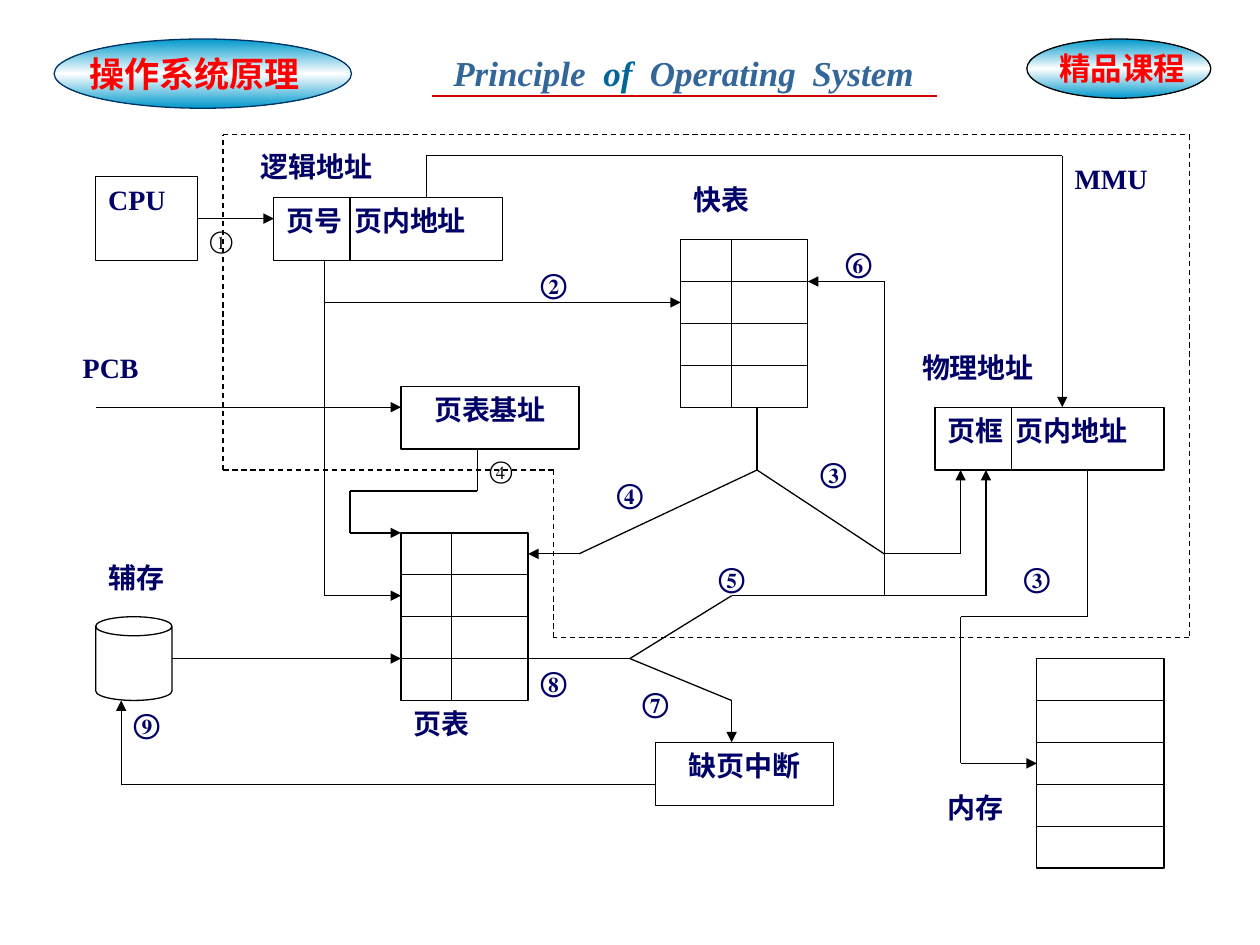
from itertools import pairwise

from lxml import etree
from copy import deepcopy
from pptx import Presentation
from pptx.dml.color import RGBColor
from pptx.enum.dml import MSO_LINE
from pptx.enum.shapes import MSO_CONNECTOR, MSO_SHAPE
from pptx.enum.text import MSO_ANCHOR, PP_ALIGN
from pptx.oxml.ns import qn
from pptx.util import Inches, Pt

STRAIGHT = MSO_CONNECTOR.STRAIGHT
DASH = MSO_LINE.DASH
RECTANGLE, ELLIPSE, CAN = MSO_SHAPE.RECTANGLE, MSO_SHAPE.OVAL, MSO_SHAPE.CAN
LEFT, CENTER, JUSTIFY = PP_ALIGN.LEFT, PP_ALIGN.CENTER, PP_ALIGN.JUSTIFY
TOP = MSO_ANCHOR.TOP

SLIDE_WIDTH, SLIDE_HEIGHT = Inches(10), Inches(7.5)
GRID_LEFT, GRID_TOP = 0.76, 1.07
COLUMN, ROW = 8.68 / 43, 5.82 / 35
SERIF = "Times New Roman"
BLACK, NAVY, RED, BLUE = "000000", "000066", "FF0000", "0099CC"

LABELS = [
    ("③", 36, 20, 3, 3), ("⑨", 1, 27, 4, 3), ("⑧", 17, 25, 4, 3),
    ("⑦", 21, 26, 4, 3), ("⑥", 29, 5, 4, 3), ("⑤", 24, 20, 4, 3),
    ("④", 20, 16, 3, 4), ("③", 28, 15, 3, 3), ("②", 17, 6, 3, 3),
    ("快表", 23, 2, 4, 3), ("页表", 12, 27, 4, 3), ("辅存", 0, 20, 4, 3),
    ("物理地址", 32, 10, 6, 3), ("MMU", 38, 1, 5, 3), ("PCB", -1, 10, 4, 3),
    ("内存", 33, 31, 4, 3), ("逻辑地址", 6, 0.4, 6, 2.5),
]
SMALL_LABELS = [("④", 15, 15, 3, 4), ("①", 4, 4, 3, 3)]
BOXES = [
    ("CPU", 0, 2, 4, 4, JUSTIFY),
    ("页号\t页内地址", 7, 3, 9, 3, JUSTIFY),
    ("页表基址", 12, 12, 7, 3, CENTER),
    ("页框\t页内地址", 33, 13, 9, 3, JUSTIFY),
    ("缺页中断", 22, 29, 7, 3, CENTER),
]
TABLE_FRAMES = [(12, 19, 5, 8, 2), (23, 5, 5, 8, 2), (37, 25, 5, 10, None)]
ARROW_ROUTES = [
    [(4, 4), (7, 4)],
    [(9, 6), (9, 22), (12, 22)],
    [(9, 8), (23, 8)],
    [(26, 13), (26, 16), (19, 20), (17, 20)],
    [(26, 16), (31, 20), (34, 20), (34, 16)],
    [(15, 15), (15, 17), (10, 17), (10, 19), (12, 19)],
    [(17, 25), (21, 25), (25, 22), (35, 22), (35, 16)],
    [(21, 25), (25, 27), (25, 29)],
    [(22, 31), (1, 31), (1, 27)],
    [(3, 25), (12, 25)],
    [(13, 3), (13, 1), (38, 1), (38, 13)],
    [(0, 13), (12, 13)],
    [(31, 22), (31, 7), (28, 7)],
    [(39, 16), (39, 23), (34, 23), (34, 30), (37, 30)],
]
MMU_BORDER = [(5, 0), (43, 0), (43, 24), (18, 24), (18, 16), (5, 16), (5, 0)]


def rgb(value):
    """Turn a hex string into a colour."""
    return RGBColor.from_string(value)


def grid_point(column, row):
    """Return the slide position of a grid crossing."""
    return Inches(GRID_LEFT + column * COLUMN), Inches(GRID_TOP + row * ROW)


def grid_box(column, row, columns, rows):
    """Return left, top, width and height of a block of grid cells."""
    return *grid_point(column, row), Inches(columns * COLUMN), Inches(rows * ROW)


def share_box(left, top, width, height):
    """Return a box given in percent of the slide's size."""
    return (int(SLIDE_WIDTH * left / 100), int(SLIDE_HEIGHT * top / 100),
            int(SLIDE_WIDTH * width / 100), int(SLIDE_HEIGHT * height / 100))


def write_text(shape, runs, size=16, font=SERIF, bold=True, italic=False,
               align=JUSTIFY, wrap=True, tabs=()):
    """Fill a shape with one paragraph of (text, colour) runs."""
    frame = shape.text_frame
    frame.word_wrap = wrap
    frame.vertical_anchor = TOP
    paragraph = frame.paragraphs[0]
    paragraph.alignment = align
    if tabs:
        stops = etree.SubElement(paragraph._p.get_or_add_pPr(), qn("a:tabLst"))
        for position in tabs:
            etree.SubElement(stops, qn("a:tab"), pos=str(Inches(position)), algn="l")
    for text, color in runs:
        run = paragraph.add_run()
        run.text = text
        run.font.name, run.font.size = font, Pt(size)
        run.font.bold, run.font.italic = bold, italic
        run.font.color.rgb = rgb(color)


def add_label(slide, box, runs, **style):
    """Add a text box."""
    write_text(slide.shapes.add_textbox(*box), runs, **style)


def add_outline(slide, kind, box, color=BLACK):
    """Add an unfilled preset shape with a thin line."""
    shape = slide.shapes.add_shape(kind, *box)
    shape.shadow.inherit = False
    shape.fill.background()
    shape.line.color.rgb = rgb(color)
    shape.line.width = Pt(0.75)
    return shape


def add_badge(slide, box, line_color):
    """Add an ellipse shaded from blue through white to blue."""
    shape = add_outline(slide, ELLIPSE, box, line_color)
    shape.fill.gradient()
    shape.fill.gradient_angle = 90
    first = shape._element.spPr.find(".//" + qn("a:gs"))
    first.addnext(deepcopy(first))
    stops = zip(shape.fill.gradient_stops, (0, 0.5, 1), (BLUE, "FFFFFF", BLUE))
    for stop, position, color in stops:
        stop.position = position
        stop.color.rgb = rgb(color)


def add_line(slide, start, end, color=BLACK, width=0.75, dashed=False, arrow=False):
    """Add a straight line between two slide positions."""
    connector = slide.shapes.add_connector(STRAIGHT, *start, *end)
    connector.line.color.rgb = rgb(color)
    connector.line.width = Pt(width)
    if dashed:
        connector.line.dash_style = DASH
    if arrow:
        etree.SubElement(connector.line._get_or_add_ln(), qn("a:tailEnd"), type="triangle")
    etree.SubElement(connector._element.spPr, qn("a:effectLst"))


def add_route(slide, points, dashed=False, arrow=False):
    """Join grid crossings by lines, with the arrowhead on the last one."""
    legs = list(pairwise(points))
    for number, (start, end) in enumerate(legs, 1):
        add_line(slide, grid_point(*start), grid_point(*end), dashed=dashed,
                 arrow=arrow and number == len(legs))


def add_table_frame(slide, column, row, columns, rows, divider):
    """Add a frame ruled every two rows, with an optional column divider."""
    add_outline(slide, RECTANGLE, grid_box(column, row, columns, rows))
    for rule in range(row + 2, row + rows, 2):
        add_route(slide, [(column, rule), (column + columns, rule)])
    if divider:
        add_route(slide, [(column + divider, row), (column + divider, row + rows)])


def add_header(slide):
    """Add the course badges and the underlined title."""
    add_badge(slide, share_box(4.3, 4.13, 23.6, 7.33), "003366")
    add_label(slide, share_box(6.1, 4.93, 18.7, 5.87), [("操作系统原理", RED)],
              size=20, align=LEFT, wrap=False)
    title = [("Principle\t", "336699"), ("of\t", "006699"),
             ("Operating\tSystem", "336699")]
    add_label(slide, share_box(35, 4.8, 39.3, 5.87), title, size=20, italic=True,
              align=LEFT, wrap=False, tabs=(1.19, 1.56, 2.85))
    left, top, width, _ = share_box(34.3, 10.13, 40.1, 0)
    add_line(slide, (left, top), (left + width, top), "CC0000", 1)
    add_badge(slide, share_box(81.5, 4.13, 14.6, 6.27), BLACK)
    add_label(slide, share_box(83.1, 4.53, 13.8, 5.33), [("精品课程", RED)],
              size=18, font="Arial", align=LEFT)


def add_diagram(slide):
    """Add the address translation diagram."""
    for text, *cells in LABELS:
        add_label(slide, grid_box(*cells), [(text, NAVY)])
    for text, *cells in SMALL_LABELS:
        add_label(slide, grid_box(*cells), [(text, BLACK)], size=14, bold=False)
    for text, *cells, align in BOXES:
        shape = add_outline(slide, RECTANGLE, grid_box(*cells))
        write_text(shape, [(text, NAVY)], align=align,
                   tabs=(0.54,) if "\t" in text else ())
    for column, row in ((10, 3), (36, 13)):
        add_route(slide, [(column, row), (column, row + 3)])
    for frame in TABLE_FRAMES:
        add_table_frame(slide, *frame)
    add_outline(slide, CAN, grid_box(0, 23, 3, 4))
    for route in ARROW_ROUTES:
        add_route(slide, route, arrow=True)
    add_route(slide, MMU_BORDER, dashed=True)


def main():
    """Build and save the slide."""
    presentation = Presentation()
    presentation.slide_width, presentation.slide_height = SLIDE_WIDTH, SLIDE_HEIGHT
    slide = presentation.slides.add_slide(presentation.slide_layouts[6])
    add_header(slide)
    add_diagram(slide)
    presentation.save("out.pptx")


if __name__ == "__main__":
    main()
